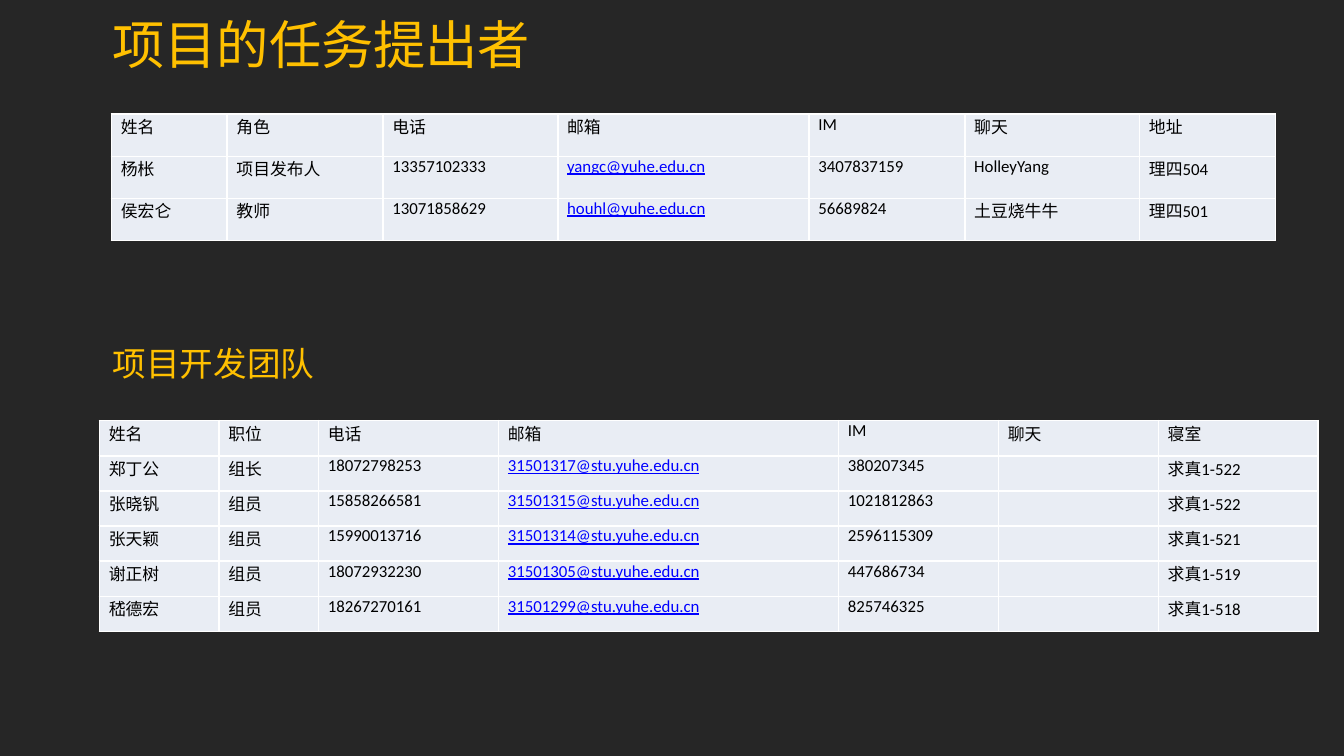
from dataclasses import dataclass

from lxml import etree
from pptx import Presentation
from pptx import util as u
from pptx.dml.color import RGBColor
from pptx.enum import shapes
from pptx.oxml import ns


@dataclass(frozen=True)
class Theme:
    backdrop: str = "FFC000"
    panel: str = "262626"
    accent: str = "FFC000"
    cell: str = "E9EDF4"
    border: str = "FFFFFF"
    ink: str = "000000"
    address: str = "0000FF"
    heading_font: str = "Noto Sans CJK SC"
    body_font: str = "Calibri"
    title_size: int = 28
    subtitle_size: int = 18
    body_size: int = 9


class SlideBuilder:
    def __init__(self, slide, theme):
        self.slide = slide
        self.theme = theme

    def background(self, width, height):
        self.fill(self.slide.background.fill, self.theme.backdrop)
        panel = self.slide.shapes.add_shape(
            shapes.MSO_SHAPE.RECTANGLE, 0, 0, width, height)
        panel.shadow.inherit = False
        self.fill(panel.fill, self.theme.panel)
        panel.line.fill.background()

    def heading(self, words, left, top, width, height, size):
        box = self.slide.shapes.add_textbox(
            *map(u.Inches, (left, top, width, height)))
        box.text_frame.word_wrap = True
        self.run(box.text_frame.paragraphs[0], words, size,
                 self.theme.heading_font, self.theme.accent)

    def table(self, left, top, widths, height, rows):
        frame = self.slide.shapes.add_table(
            len(rows), len(widths), u.Inches(left), u.Inches(top),
            u.Inches(sum(widths)), u.Inches(height))
        table = frame.table
        for column, width in zip(table.columns, widths):
            column.width = u.Inches(width)
        for row, values in zip(table.rows, rows):
            row.height = u.Inches(height / len(rows))
            for cell, words in zip(row.cells, values):
                self.cell(cell, words)

    def cell(self, cell, words):
        theme = self.theme
        cell.margin_left = cell.margin_right = u.Inches(0.07)
        cell.margin_top = cell.margin_bottom = 0
        paragraph = cell.text_frame.paragraphs[0]
        paragraph.font.size = u.Pt(theme.body_size)
        if words:
            is_address = "@" in words
            run = self.run(paragraph, words, theme.body_size, theme.body_font,
                           theme.address if is_address else theme.ink)
            run.font.underline = is_address
        # Borders come before the fill in the cell properties
        properties = cell._tc.get_or_add_tcPr()
        for side in ("lnL", "lnR", "lnT", "lnB"):
            line = etree.SubElement(
                properties, ns.qn(f"a:{side}"), w=str(u.Pt(1)))
            solid = etree.SubElement(line, ns.qn("a:solidFill"))
            etree.SubElement(solid, ns.qn("a:srgbClr"), val=theme.border)
        self.fill(cell.fill, theme.cell)

    def run(self, paragraph, words, size, font, color):
        run = paragraph.add_run()
        run.text = words
        run.font.size = u.Pt(size)
        run.font.name = font
        run.font.color.rgb = RGBColor.from_string(color)
        # Chinese characters use the heading font everywhere
        etree.SubElement(run.font._element, ns.qn("a:ea"),
                         typeface=self.theme.heading_font)
        return run

    @staticmethod
    def fill(fill, color):
        fill.solid()
        fill.fore_color.rgb = RGBColor.from_string(color)


CLIENTS = [
    ("姓名", "角色", "电话", "邮箱", "IM", "聊天", "地址"),
    ("杨枨", "项目发布人", "13357102333", "yangc@yuhe.edu.cn",
     "3407837159", "HolleyYang", "理四504"),
    ("侯宏仑", "教师", "13071858629", "houhl@yuhe.edu.cn",
     "56689824", "土豆烧牛牛", "理四501"),
]

# Name, post, phone, student number, messenger number, room
MEMBERS = [
    ("郑丁公", "组长", "18072798253", "31501317", "380207345", "522"),
    ("张晓钒", "组员", "15858266581", "31501315", "1021812863", "522"),
    ("张天颖", "组员", "15990013716", "31501314", "2596115309", "521"),
    ("谢正树", "组员", "18072932230", "31501305", "447686734", "519"),
    ("嵇德宏", "组员", "18267270161", "31501299", "825746325", "518"),
]
TEAM = [("姓名", "职位", "电话", "邮箱", "IM", "聊天", "寝室")] + [
    (name, post, phone, f"{number}@stu.yuhe.edu.cn", chat, "", f"求真1-{room}")
    for name, post, phone, number, chat, room in MEMBERS
]


def main():
    presentation = Presentation()
    # Widescreen, 16:9
    presentation.slide_width = u.Inches(10)
    presentation.slide_height = u.Inches(10 * 9 / 16)
    slide = presentation.slides.add_slide(presentation.slide_layouts[6])
    theme = Theme()
    builder = SlideBuilder(slide, theme)
    builder.background(presentation.slide_width, presentation.slide_height)

    # Clients who set the task
    builder.heading("项目的任务提出者", 0.74, 0.04, 8.56, 1.04,
                    theme.title_size)
    builder.table(0.83, 0.85, (0.86, 1.16, 1.3, 1.87, 1.16, 1.3, 1.01),
                  0.94, CLIENTS)

    # Development team
    builder.heading("项目开发团队", 0.74, 2.5, 8.67, 0.4,
                    theme.subtitle_size)
    builder.table(0.74, 3.13, (0.89, 0.74, 1.34, 2.53, 1.19, 1.19, 1.19),
                  1.57, TEAM)

    presentation.save("out.pptx")


if __name__ == "__main__":
    main()
